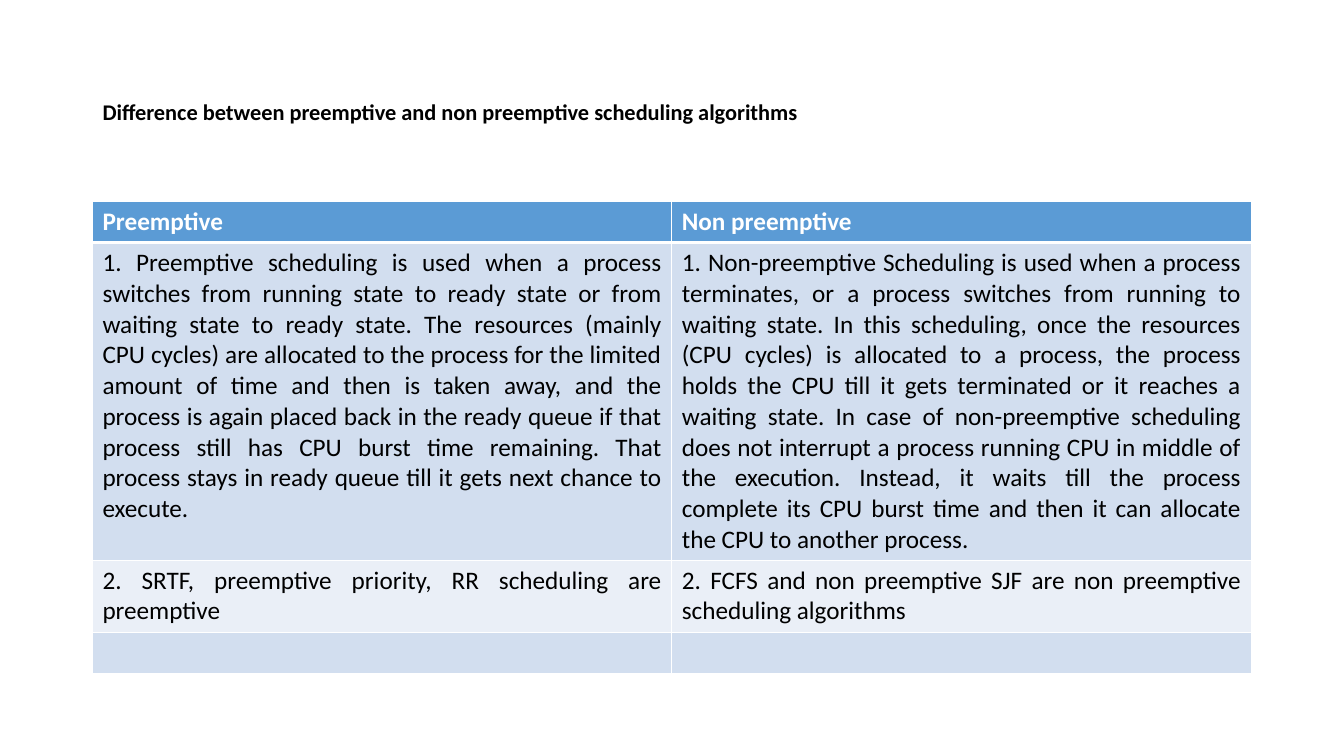
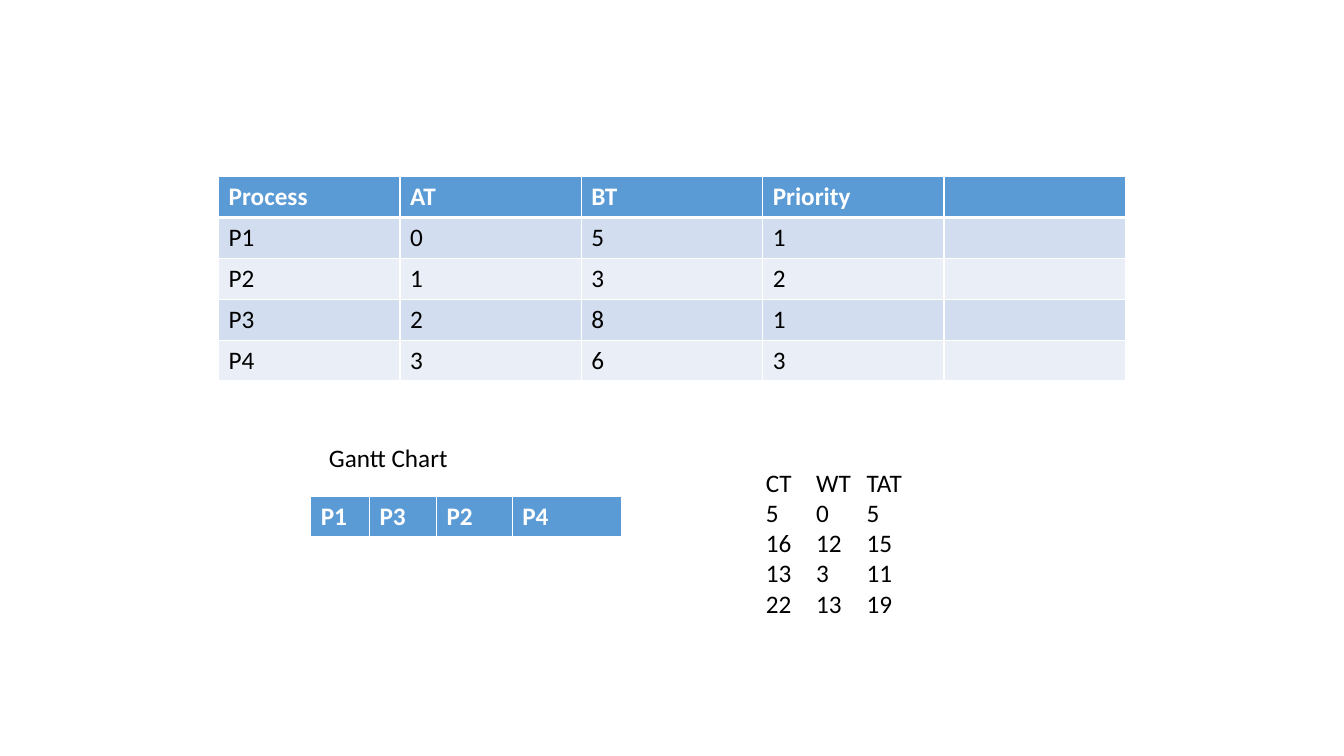
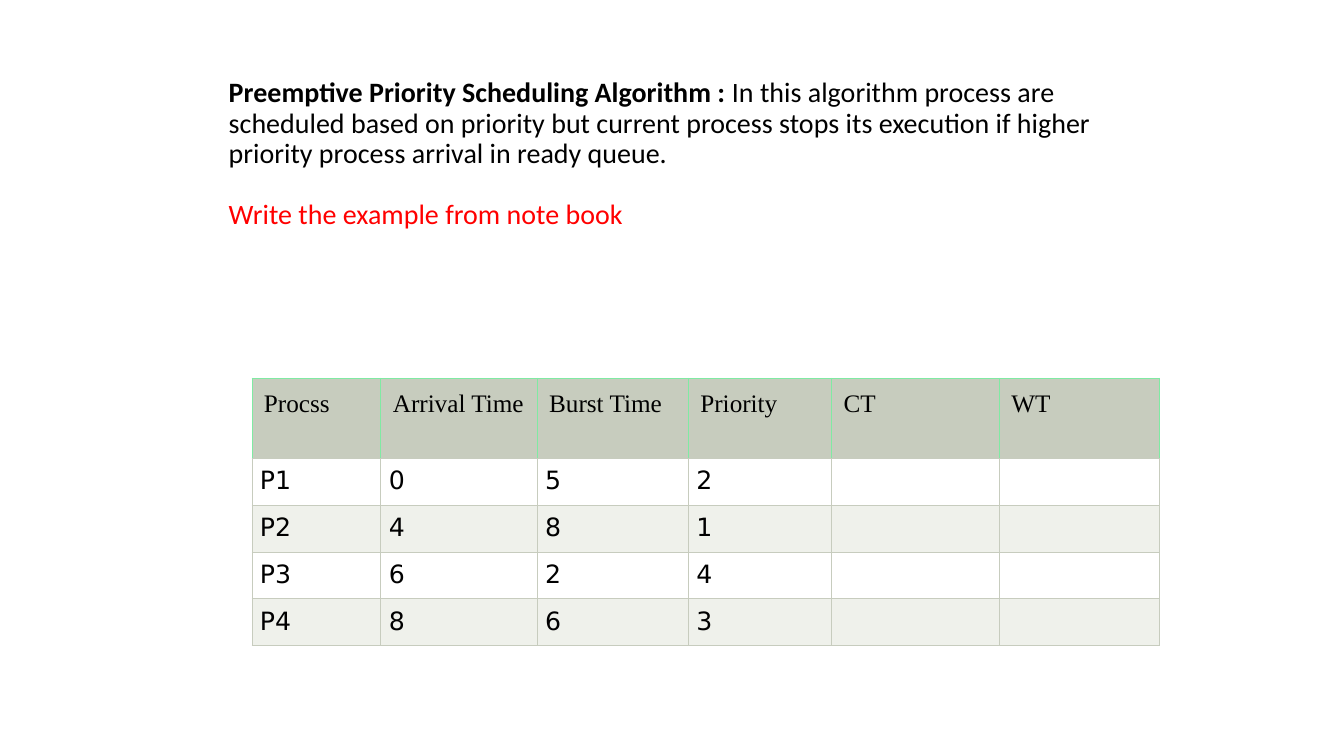
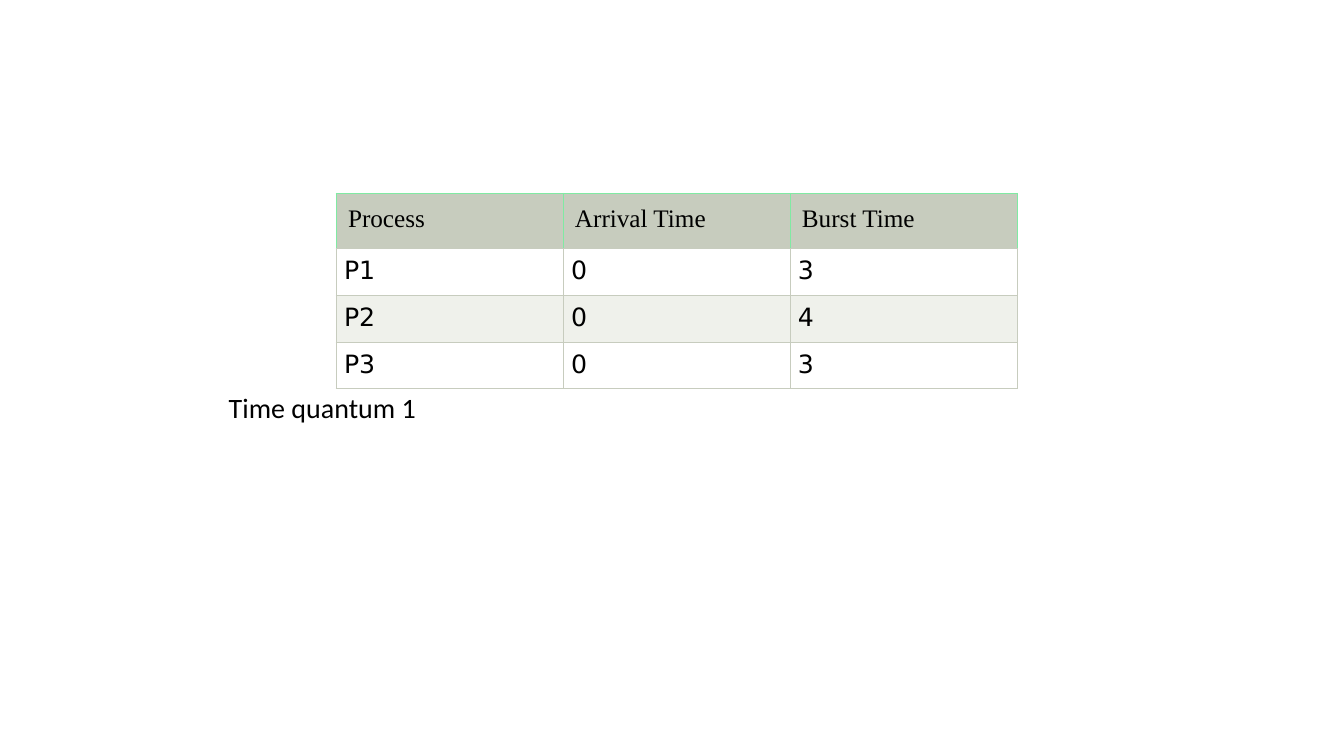
from collections import namedtuple

from lxml.etree import SubElement
from pptx import Presentation
from pptx.dml.color import RGBColor
from pptx.enum.text import MSO_ANCHOR as Anchor, MSO_AUTO_SIZE as AutoSize, PP_ALIGN as Align
from pptx.oxml.ns import qn
from pptx.util import Cm, Pt

BLACK = RGBColor(0x00, 0x00, 0x00)
WHITE = RGBColor(0xFF, 0xFF, 0xFF)
RED = RGBColor(0xFF, 0x00, 0x00)
BLUE = RGBColor(0x5B, 0x9B, 0xD5)
BLUE_MID = RGBColor(0xD2, 0xDE, 0xEF)
BLUE_PALE = RGBColor(0xEA, 0xEF, 0xF7)
SAGE = RGBColor(0xC7, 0xCC, 0xBE)
SAGE_PALE = RGBColor(0xEF, 0xF1, 0xEB)
GREEN = RGBColor(0x80, 0xEA, 0xA3)
FONT = "Calibri"

# Each edge is (colour, points); pad is the cell margin in cm
Look = namedtuple("Look", "fill font color bold pad edge bottom")
BLUE_STYLE = (
    Look(BLUE, FONT, WHITE, True, None, (WHITE, 1), (WHITE, 3)),
    [Look(fill, FONT, BLACK, False, None, (WHITE, 1), (WHITE, 1))
     for fill in (BLUE_MID, BLUE_PALE)],
)
SAGE_STYLE = (
    Look(SAGE, "Times New Roman", BLACK, False, 0.3, (GREEN, 0.75), (SAGE, 0.75)),
    [Look(fill, "DejaVu Sans", BLACK, False, 0.2, (SAGE, 0.75), (SAGE, 0.75))
     for fill in (WHITE, SAGE_PALE)],
)

DIFFERENCE_TITLE = "Difference between preemptive and non preemptive scheduling algorithms"
DIFFERENCES = [
    ("Preemptive", "Non preemptive"),
    ("1. Preemptive scheduling is used when a process switches from running state "
     "to ready state or from waiting state to ready state. The resources (mainly "
     "CPU cycles) are allocated to the process for the limited amount of time and "
     "then is taken away, and the process is again placed back in the ready queue "
     "if that process still has CPU burst time remaining. That process stays in "
     "ready queue till it gets next chance to execute.",
     "1. Non-preemptive Scheduling is used when a process terminates, or a process "
     "switches from running to waiting state. In this scheduling, once the resources "
     "(CPU cycles) is allocated to a process, the process holds the CPU till it gets "
     "terminated or it reaches a waiting state. In case of non-preemptive scheduling "
     "does not interrupt a process running CPU in middle of the execution. Instead, "
     "it waits till the process complete its CPU burst time and then it can allocate "
     "the CPU to another process."),
    ("2. SRTF, preemptive priority, RR scheduling are preemptive",
     "2. FCFS and non preemptive SJF are non preemptive scheduling algorithms"),
    ("", ""),
]
PROCESSES = [
    ("Process", "AT", "BT", "Priority", ""),
    ("P1", "0", "5", "1", ""),
    ("P2", "1", "3", "2", ""),
    ("P3", "2", "8", "1", ""),
    ("P4", "3", "6", "3", ""),
]
GANTT = [("P1", "P3", "P2", "P4")]
RESULTS = [
    ("CT", "WT", "TAT"),
    ("5", "0", "5"),
    ("16", "12", "15"),
    ("13", "3", "11"),
    ("22", "13", "19"),
]
PRIORITY_NAME = "Preemptive Priority Scheduling Algorithm : "
PRIORITY_TEXT = ("In this algorithm process are scheduled based on priority but current "
                 "process stops its execution if higher priority process arrival in "
                 "ready queue.")
PRIORITY_TASK = "Write the example from note book"
PRIORITIES = [
    ("Procss", "Arrival Time", "Burst Time", "Priority", "CT", "WT"),
    ("P1", "0", "5", "2", "", ""),
    ("P2", "4", "8", "1", "", ""),
    ("P3", "6", "2", "4", "", ""),
    ("P4", "8", "6", "3", "", ""),
]
QUANTUM = "Time quantum 1"
ROUND_ROBIN = [
    ("Process", "Arrival Time", "Burst Time"),
    ("P1", "0", "3"),
    ("P2", "0", "4"),
    ("P3", "0", "3"),
]


def add_run(p, text, size=18, font=FONT, color=BLACK, bold=False):
    """Append formatted text to a paragraph."""
    r = p.add_run()
    r.text = text
    r.font.size, r.font.name, r.font.bold = Pt(size), font, bold
    r.font.color.rgb = color


def add_title_slide(box, paragraphs, size=20, gap=0, top=0.13, bottom=0.13):
    """Add a title-only slide; each paragraph is a list of (text, format) runs."""
    s = prs.slides.add_slide(prs.slide_layouts[5])
    title = s.shapes.title
    title.left, title.top, title.width, title.height = map(Cm, box)
    tf = title.text_frame
    tf.auto_size, tf.vertical_anchor = AutoSize.NONE, Anchor.MIDDLE
    tf.margin_top, tf.margin_bottom = Cm(top), Cm(bottom)
    for i, runs in enumerate(paragraphs):
        p = tf.add_paragraph() if i else tf.paragraphs[0]
        p.alignment, p.line_spacing = Align.LEFT, 0.9
        p.space_before = Pt(gap if i else 0)
        for text, fmt in runs:
            add_run(p, text, size=size, **fmt)
    return s


def add_text(s, box, lines):
    """Add a text box with one paragraph per line."""
    tf = s.shapes.add_textbox(*map(Cm, box)).text_frame
    tf.word_wrap = True
    for i, line in enumerate(lines):
        add_run(tf.add_paragraph() if i else tf.paragraphs[0], line)


def set_borders(cell, edge, top, bottom):
    """Draw the four edges of a cell."""
    tcPr = cell._tc.get_or_add_tcPr()
    for tag, (color, width) in zip(("a:lnL", "a:lnR", "a:lnT", "a:lnB"),
                                   (edge, edge, top, bottom)):
        ln = SubElement(tcPr, qn(tag), w=str(Pt(width)))
        SubElement(SubElement(ln, qn("a:solidFill")), qn("a:srgbClr"), val=str(color))


def format_cell(cell, text, look, top, align):
    """Apply a look to a cell and write its text."""
    set_borders(cell, look.edge, top, look.bottom)
    cell.fill.solid()
    cell.fill.fore_color.rgb = look.fill
    if look.pad:
        cell.margin_left = cell.margin_right = Cm(look.pad)
        cell.margin_top = cell.margin_bottom = Cm(look.pad)
    if text:
        p = cell.text_frame.paragraphs[0]
        p.alignment = align
        add_run(p, text, font=look.font, color=look.color, bold=look.bold)


def add_grid(s, left, top, widths, heights, rows, style, body_align=Align.LEFT):
    """Add a table with a header row and alternating body rows."""
    header, bands = style
    table = s.shapes.add_table(len(rows), len(widths), Cm(left), Cm(top),
                               Cm(sum(widths)), Cm(sum(heights))).table
    table.horz_banding = False
    for column, width in zip(table.columns, widths):
        column.width = Cm(width)
    upper = header.edge
    for i, (row, height) in enumerate(zip(rows, heights)):
        table.rows[i].height = Cm(height)
        look = bands[(i - 1) % 2] if i else header
        for j, text in enumerate(row):
            format_cell(table.cell(i, j), text, look, upper,
                        body_align if i else Align.LEFT)
        upper = look.bottom


prs = Presentation()
prs.slide_width, prs.slide_height = Cm(33.87), Cm(19.05)

s = add_title_slide((2.33, 1.02, 29.21, 3.68),
                    [[(DIFFERENCE_TITLE, {"bold": True})]], size=16)
add_grid(s, 2.33, 5.08, [14.6] * 2, [1.03, 7.95, 1.82, 1.03],
         DIFFERENCES, BLUE_STYLE, body_align=Align.JUSTIFY)

s = prs.slides.add_slide(prs.slide_layouts[6])
add_grid(s, 5.51, 4.45, [4.57] * 5, [1.03] * 5, PROCESSES, BLUE_STYLE)
add_grid(s, 7.83, 12.5, [1.48, 1.69, 1.91, 2.75], [1.06], GANTT, BLUE_STYLE)
add_text(s, (8.04, 11.01, 4.02, 1.03), ["Gantt Chart"])
add_text(s, (19.05, 11.64, 8.26, 4.1), ["\t".join(row) for row in RESULTS])

s = add_title_slide((5.51, 0.84, 22.86, 6.88),
                    [[(PRIORITY_NAME, {"bold": True}), (PRIORITY_TEXT, {})],
                     [(PRIORITY_TASK, {"color": RED})]], gap=22, bottom=0.9)
add_grid(s, 6.35, 9.53, [3.25, 3.94, 3.81, 3.61, 4.23, 4.02],
         [2.02] + [1.18] * 4, PRIORITIES, SAGE_STYLE)

s = add_title_slide((5.51, 0.76, 22.86, 16.59), [[(QUANTUM, {})]], top=2.63)
add_grid(s, 8.47, 4.87, [5.72] * 3, [1.39] + [1.18] * 3, ROUND_ROBIN, SAGE_STYLE)

prs.save("out.pptx")
